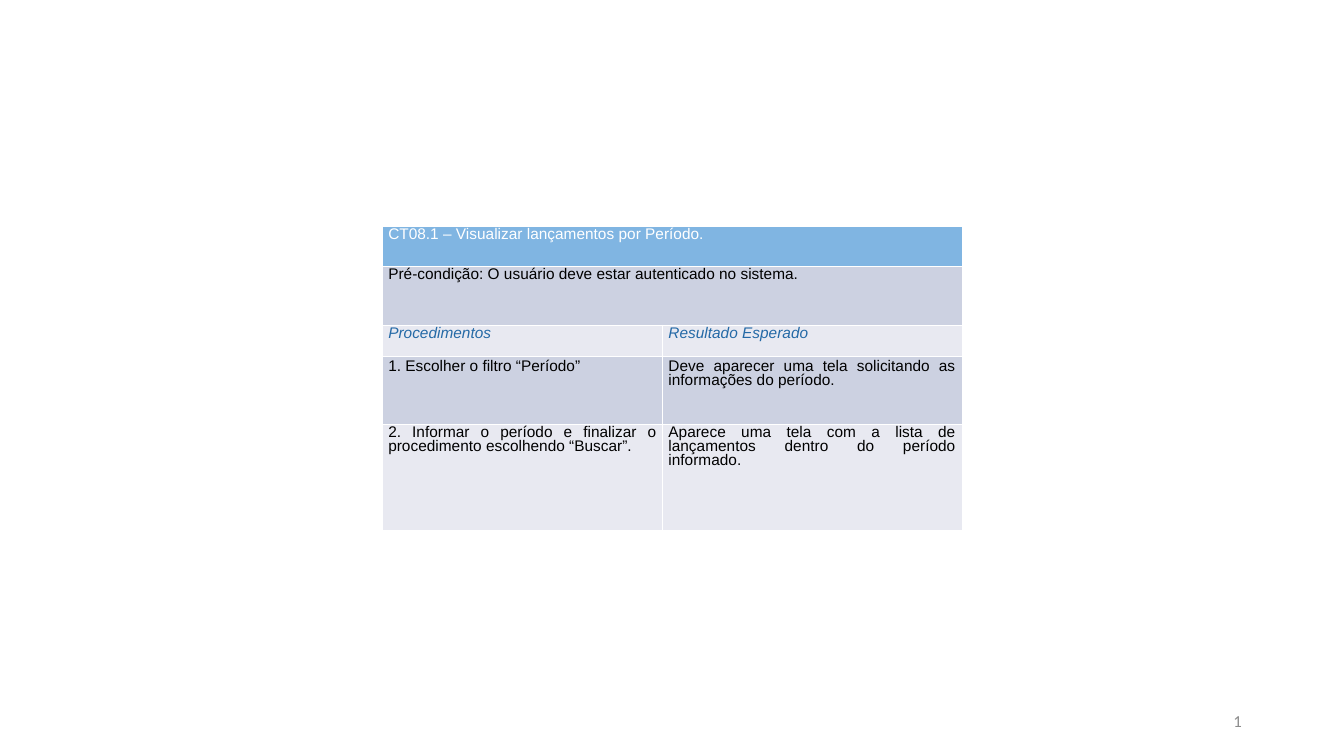
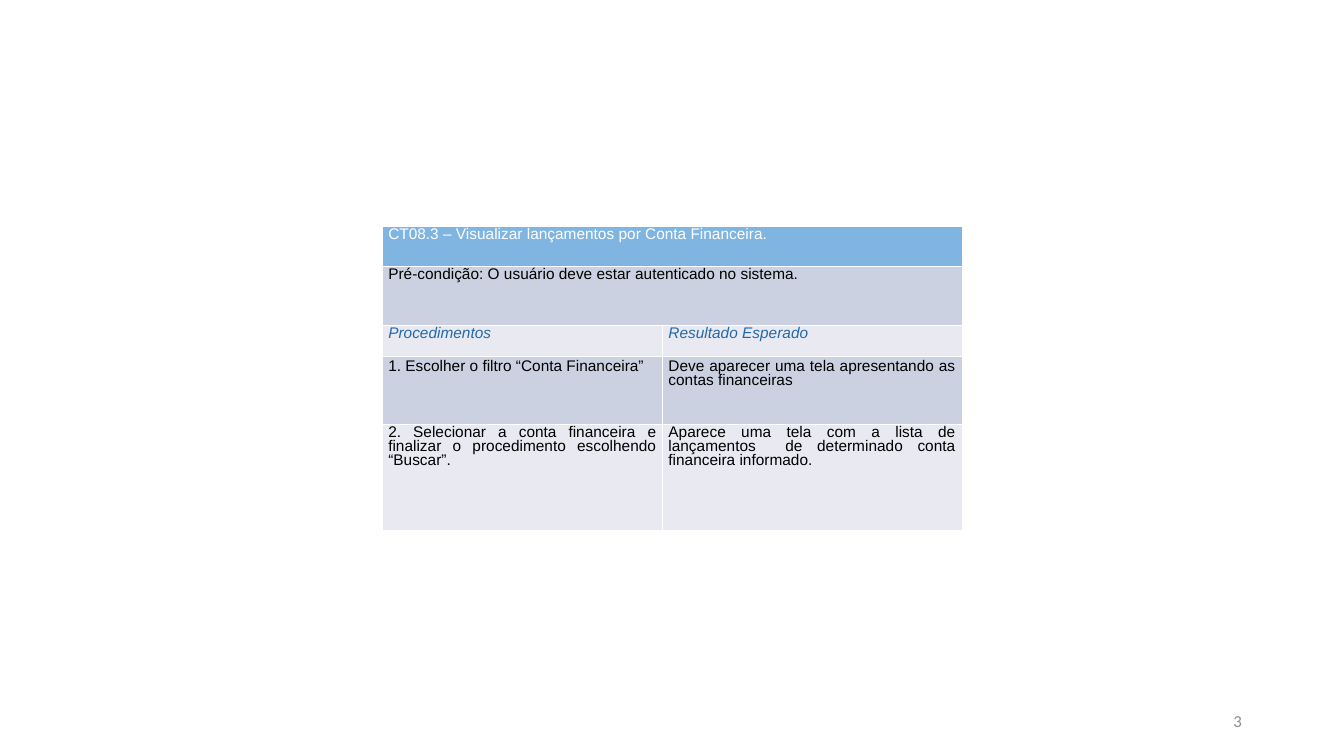
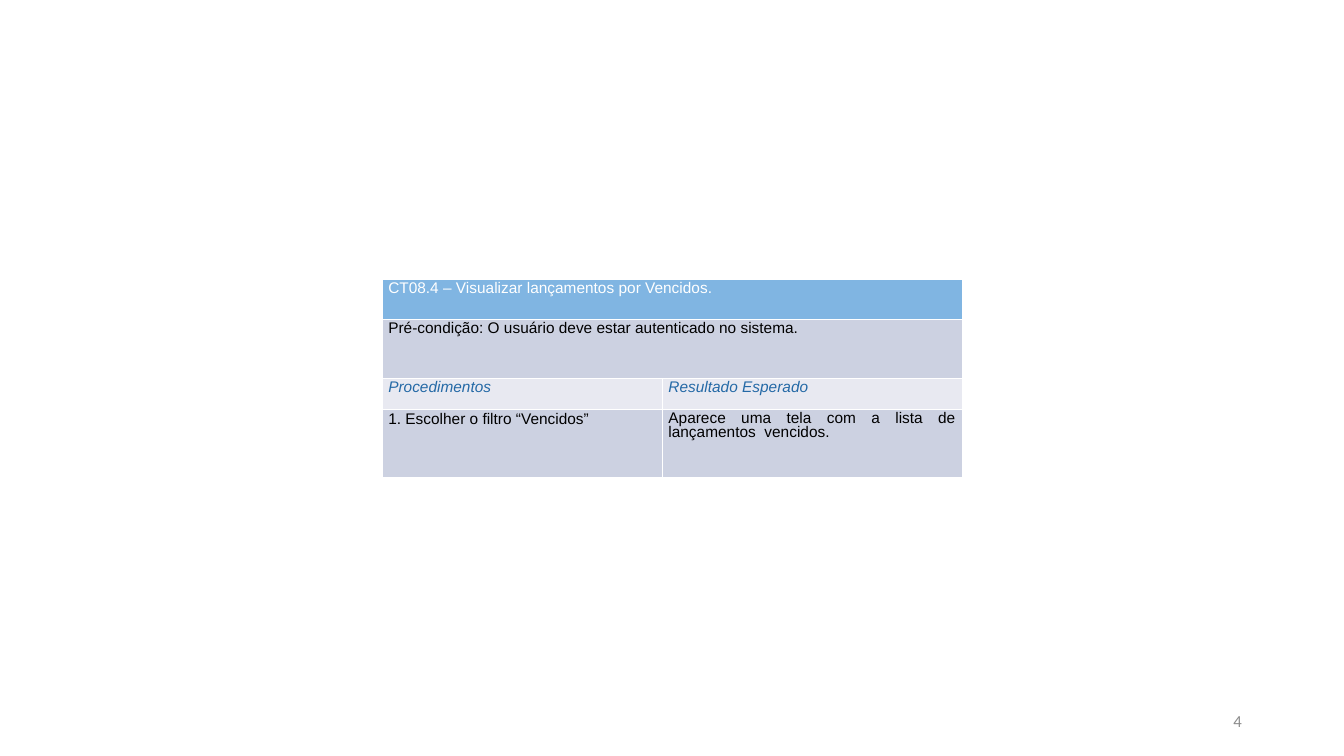
from lxml import etree
from pptx import Presentation
from pptx.dml.color import RGBColor
from pptx.enum.text import MSO_ANCHOR, PP_ALIGN
from pptx.oxml.ns import qn
from pptx.util import Cm, Pt

LEFT, RIGHT, JUSTIFY = PP_ALIGN.LEFT, PP_ALIGN.RIGHT, PP_ALIGN.JUSTIFY
MIDDLE = MSO_ANCHOR.MIDDLE
BLANK_LAYOUT = 6

# Shared style
COLORS = {
    "heading": "80B5E2",
    "dark_band": "CCD1E1",
    "light_band": "E8E9F1",
    "white": "FFFFFF",
    "black": "000000",
    "label": "2469A6",
    "page_number": "8C8C8C",
}
SLIDE_WIDTH, SLIDE_HEIGHT = 33.87, 19.05
COLUMN_WIDTHS = [7.06, 7.54]
INTRO_HEIGHTS = [1.01, 1.49, 0.79]
STEP_HEIGHTS = [1.7, 2.69]
BORDER_WIDTH = Pt(0.06)

PRECONDITION = "Pré-condição: O usuário deve estar autenticado no sistema."
LABELS = ["Procedimentos", "Resultado Esperado"]


class TestCaseDeck:
    def __init__(self):
        self.presentation = Presentation()
        self.presentation.slide_width = Cm(SLIDE_WIDTH)
        self.presentation.slide_height = Cm(SLIDE_HEIGHT)
        self.slide = None

    def add_slide(self):
        layout = self.presentation.slide_layouts[BLANK_LAYOUT]
        self.slide = self.presentation.slides.add_slide(layout)

    def add_text(self, paragraph, text, font, size, color, align=LEFT,
                 spacing=None, italic=False):
        paragraph.alignment = align
        paragraph.line_spacing = spacing
        run = paragraph.add_run()
        run.text = text
        run.font.name = font
        run.font.size = Pt(size)
        run.font.italic = italic
        run.font.color.rgb = RGBColor.from_string(COLORS[color])

    def page_number(self, number):
        box = self.slide.shapes.add_textbox(Cm(23.93), Cm(17.65), Cm(7.62), Cm(1.02))
        frame = box.text_frame
        frame.word_wrap = True
        frame.vertical_anchor = MIDDLE
        self.add_text(frame.paragraphs[0], str(number), "Calibri", 12,
                      "page_number", RIGHT)

    def style_cell(self, cell, band):
        cell.margin_left = cell.margin_right = Cm(0.15)
        cell.margin_top = cell.margin_bottom = Cm(0.08)
        properties = cell._tc.get_or_add_tcPr()
        for side in ("a:lnL", "a:lnR", "a:lnT", "a:lnB"):
            line = etree.SubElement(properties, qn(side), w=str(int(BORDER_WIDTH)))
            solid = etree.SubElement(line, qn("a:solidFill"))
            etree.SubElement(solid, qn("a:srgbClr"), val=COLORS["white"])
        cell.fill.solid()
        cell.fill.fore_color.rgb = RGBColor.from_string(COLORS[band])

    def fill_row(self, table, row, texts, band, color, spacings=(0.8, 0.8),
                 **text_style):
        for column in range(len(COLUMN_WIDTHS)):
            self.style_cell(table.cell(row, column), band)
        if len(texts) == 1:
            table.cell(row, 0).merge(table.cell(row, len(COLUMN_WIDTHS) - 1))
        for column, (text, spacing) in enumerate(zip(texts, spacings)):
            paragraph = table.cell(row, column).text_frame.paragraphs[0]
            self.add_text(paragraph, text, "Arial", 11, color,
                          spacing=spacing, **text_style)

    def test_case(self, title, steps):
        # Table centred on the slide
        heights = INTRO_HEIGHTS + STEP_HEIGHTS[:len(steps)]
        width, height = sum(COLUMN_WIDTHS), sum(heights)
        table = self.slide.shapes.add_table(
            len(heights), len(COLUMN_WIDTHS),
            Cm((SLIDE_WIDTH - width) / 2), Cm((SLIDE_HEIGHT - height) / 2),
            Cm(width), Cm(height)).table
        table.first_row = table.horz_banding = False
        for column, column_width in zip(table.columns, COLUMN_WIDTHS):
            column.width = Cm(column_width)
        for row, row_height in zip(table.rows, heights):
            row.height = Cm(row_height)

        # Title, precondition and column labels
        self.fill_row(table, 0, [title], "heading", "white")
        self.fill_row(table, 1, [PRECONDITION], "dark_band", "black")
        self.fill_row(table, 2, LABELS, "light_band", "label", italic=True)

        # Procedure steps in alternating bands
        for index, (texts, spacings) in enumerate(steps):
            band = "light_band" if index % 2 else "dark_band"
            self.fill_row(table, len(INTRO_HEIGHTS) + index, texts, band, "black",
                          spacings, align=JUSTIFY)


# Page number, title, and steps with the line spacing of each cell
TEST_CASES = [
    (1, "CT08.1 – Visualizar lançamentos por Período.", [
        (["1. Escolher o filtro “Período”",
          "Deve aparecer uma tela solicitando as informações do período."],
         [0.86, 0.86]),
        (["2. Informar o período e finalizar o procedimento escolhendo “Buscar”.",
          "Aparece uma tela com a lista de lançamentos dentro do período informado."],
         [0.8, 0.8]),
    ]),
    (3, "CT08.3 – Visualizar lançamentos por Conta Financeira.", [
        (["1. Escolher o filtro “Conta Financeira”",
          "Deve aparecer uma tela apresentando as contas financeiras"],
         [0.86, 0.86]),
        (["2. Selecionar a conta financeira e finalizar o procedimento "
          "escolhendo “Buscar”.",
          "Aparece uma tela com a lista de lançamentos  de determinado conta "
          "financeira informado."],
         [0.8, 0.8]),
    ]),
    (4, "CT08.4 – Visualizar lançamentos por Vencidos.", [
        (["1. Escolher o filtro “Vencidos”",
          "Aparece uma tela com a lista de lançamentos  vencidos."],
         [0.86, 0.8]),
    ]),
]

deck = TestCaseDeck()
for number, title, steps in TEST_CASES:
    deck.add_slide()
    deck.page_number(number)
    deck.test_case(title, steps)
deck.presentation.save("out.pptx")
